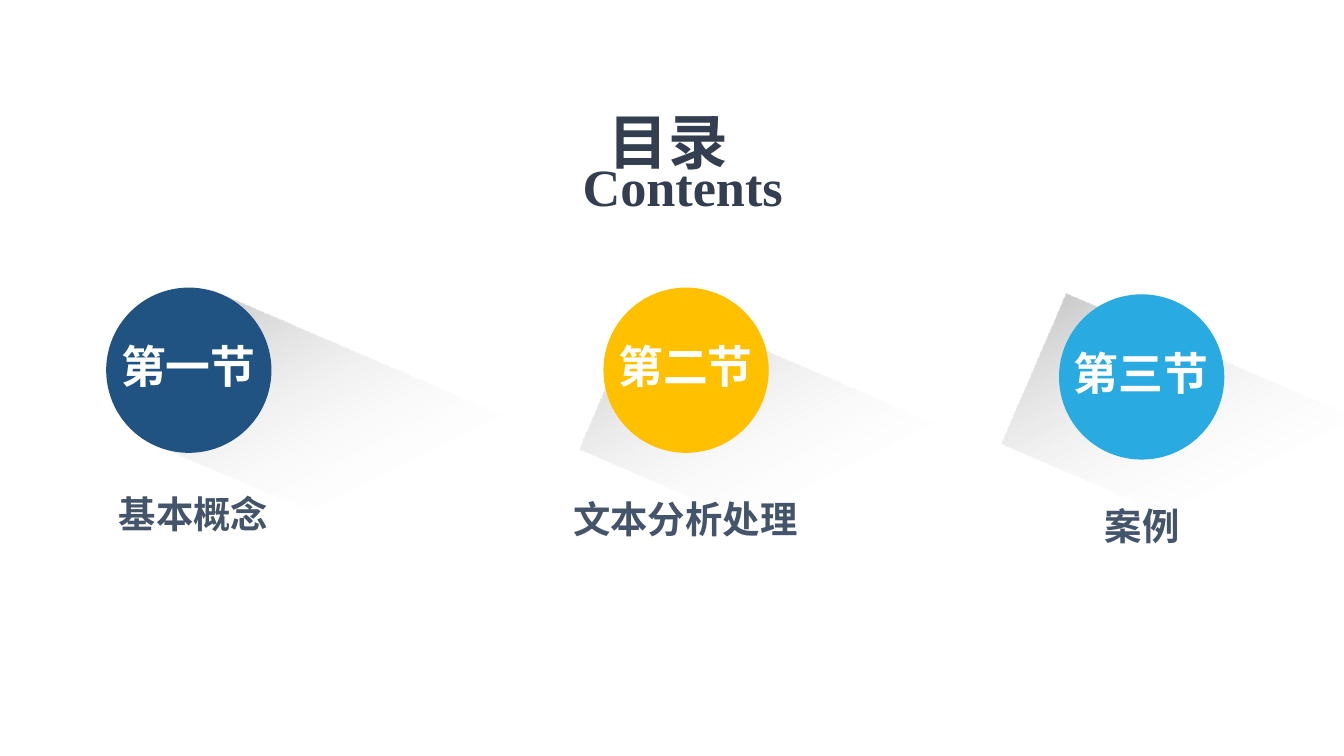
from lxml import etree
from pptx import Presentation
from pptx.dml.color import RGBColor
from pptx.enum import shapes, text
from pptx.oxml.ns import qn
from pptx.util import Inches, Pt

NAVY = RGBColor(0x20, 0x53, 0x81)
AMBER = RGBColor(0xFF, 0xC0, 0x00)
SKY = RGBColor(0x29, 0xAB, 0xE2)
SLATE = RGBColor(0x33, 0x3F, 0x50)
STEEL = RGBColor(0x44, 0x54, 0x6A)
GRAY = RGBColor(0xBF, 0xBF, 0xBF)
WHITE = RGBColor(0xFF, 0xFF, 0xFF)
CJK = "Noto Sans CJK SC"
SERIF = "Times New Roman"

prs = Presentation()
prs.slide_width = Inches(10)
prs.slide_height = prs.slide_width * 9 // 16
s = prs.slides.add_slide(prs.slide_layouts[6])


def add_shape(kind, x, y, w, h):
    sp = s.shapes.add_shape(kind, Inches(x), Inches(y), Inches(w), Inches(h))
    sp.shadow.inherit = False
    sp.fill.background()
    sp.line.fill.background()
    return sp


def add_text(x, y, w, h, words, size, color, font=CJK, kind=None,
             align=text.PP_ALIGN.CENTER, anchor=text.MSO_ANCHOR.MIDDLE):
    if kind:
        sp = add_shape(kind, x, y, w, h)
    else:
        sp = s.shapes.add_textbox(Inches(x), Inches(y), Inches(w), Inches(h))
    tf = sp.text_frame
    tf.word_wrap = align == text.PP_ALIGN.JUSTIFY
    tf.margin_left = tf.margin_right = tf.margin_top = tf.margin_bottom = 0
    tf.vertical_anchor = anchor
    p = tf.paragraphs[0]
    p.text = words
    p.alignment = align
    p.font.size = Pt(size)
    p.font.bold = True
    p.font.color.rgb = color
    p.font.name = font
    etree.SubElement(p.font._element, qn("a:ea")).set("typeface", font)


for x, y in [(1.19, 2.85), (7.54, 2.87), (4.4, 2.91)]:
    sp = add_shape(shapes.MSO_SHAPE.RECTANGLE, x, y, 3.72, 1.22)
    sp.rotation = 23.3
    sp.fill.gradient()
    sp.fill.gradient_angle = 320
    start, end = sp.fill.gradient_stops
    start.color.rgb, start.position = GRAY, 0
    end.color.rgb, end.position = WHITE, 0.54
    clear = sp._element.spPr.findall(".//" + qn("a:srgbClr"))[-1]
    etree.SubElement(clear, qn("a:alpha")).set("val", "0")

add_text(4.53, 0.78, 1.1, 0.5, "目录", 32, SLATE,
         align=text.PP_ALIGN.JUSTIFY, anchor=text.MSO_ANCHOR.TOP)
add_text(4.45, 0.76, 1.26, 1.24, "Contents", 28, SLATE, SERIF,
         kind=shapes.MSO_SHAPE.DIAMOND)

D = 1.23
sections = [
    (0.79, 2.14, NAVY, "第一节", "基本概念", 0.43, 3.65, 2.02),
    (4.49, 2.14, AMBER, "第二节", "文本分析处理", 4.26, 3.69, 1.68),
    (7.88, 2.19, SKY, "第三节", "案例", 8.22, 3.74, 0.56),
]
for x, y, color, number, label, label_x, label_y, label_w in sections:
    sp = add_shape(shapes.MSO_SHAPE.OVAL, x, y, D, D)
    sp.fill.solid()
    sp.fill.fore_color.rgb = color
    add_text(x - 0.05, y + 0.33, 1.32, 0.5, number, 24, WHITE)
    add_text(label_x, label_y, label_w, 0.34, label, 20, STEEL)

prs.save("out.pptx")
